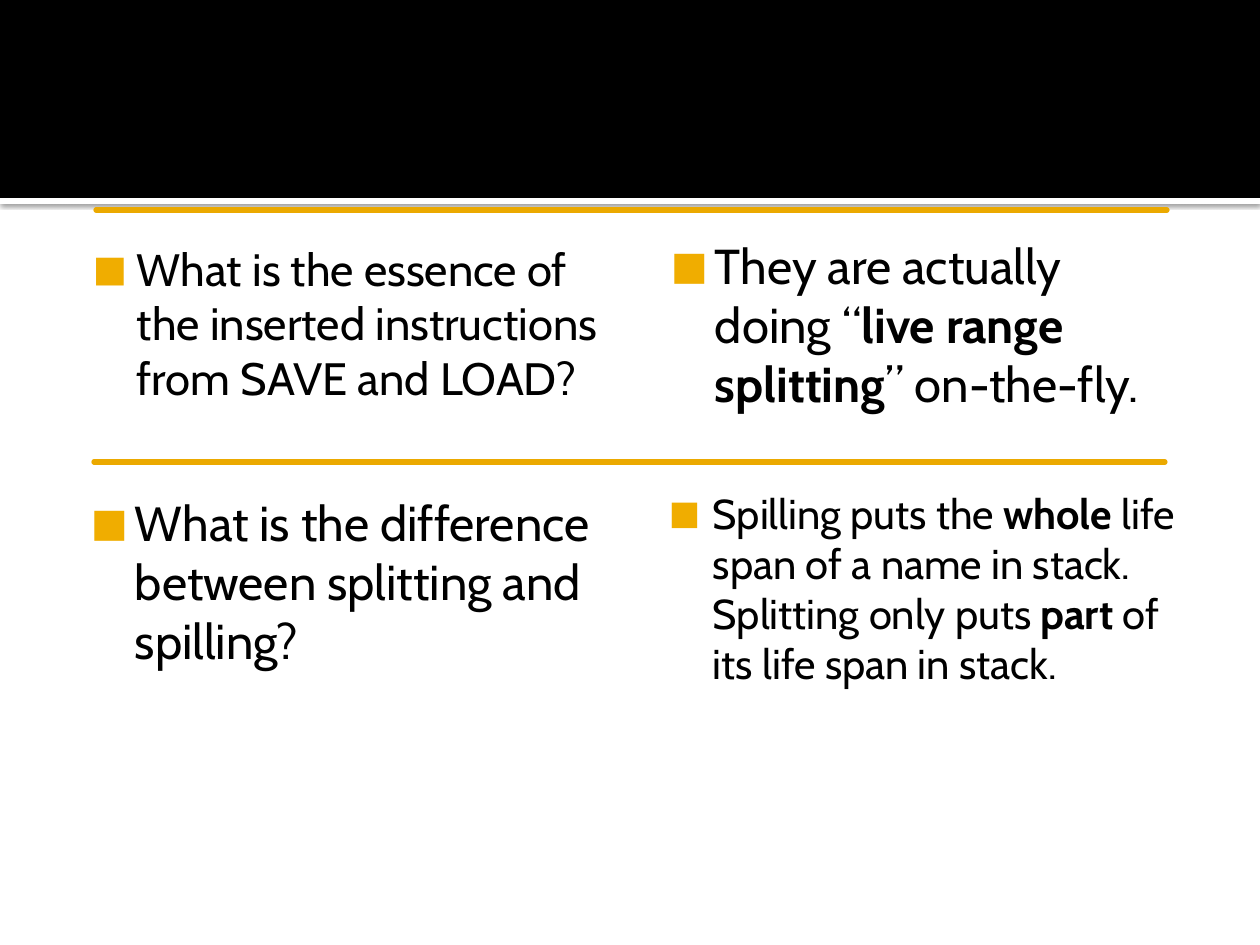
from lxml import etree
from pptx import Presentation
from pptx.dml.color import RGBColor
from pptx.enum.shapes import MSO_CONNECTOR, MSO_SHAPE
from pptx.oxml.ns import qn
from pptx.util import Emu, Pt

RECT = MSO_SHAPE.RECTANGLE
LINE = MSO_CONNECTOR.STRAIGHT
SCALE = 914400 / 126
FONT = "Cabin"
BLACK, WHITE = "000000", "FFFFFF"
GOLD, RULE = "F0AD00", "EBA900"

ROWS = [
    (96, 210,
     (25.9, [("What is the essence of the inserted instructions from SAVE and LOAD?", False)]),
     (28, [("They are actually doing “", False),
           ("live range splitting", True),
           ("” on-the-fly.", False)])),
    (94, 462,
     (28, [("What is the difference between splitting and spilling?", False)]),
     (23.8, [("Spilling puts the ", False),
             ("whole", True),
             (" life span of a name in stack. Splitting only puts ", False),
             ("part", True),
             (" of its life span in stack.", False)])),
]


def px(num):
    return Emu(round(num * SCALE))


def rgb(code):
    return RGBColor.from_string(code)


def node(parent, tag, **attrs):
    item = etree.SubElement(parent, qn(tag))
    for name, value in attrs.items():
        item.set(name, str(value))
    return item


def add_band(slide, top, high, color):
    band = slide.shapes.add_shape(RECT, 0, px(top), px(1260), px(high))
    band.shadow.inherit = False
    band.fill.solid()
    band.fill.fore_color.rgb = rgb(color)
    band.line.fill.background()
    return band


def add_shade(shape):
    effects = shape.element.spPr.find(qn("a:effectLst"))
    shade = node(effects, "a:outerShdw", blurRad=Pt(2.5), dist=Pt(0.8),
                 dir=5400000, algn="t", rotWithShape=0)
    color = node(shade, "a:srgbClr", val=BLACK)
    node(color, "a:alpha", val=60000)


def add_rule(slide, left, top):
    rule = slide.shapes.add_connector(LINE, px(left), px(top), px(left + 1071), px(top))
    rule.line.color.rgb = rgb(RULE)
    rule.line.width = Pt(3)
    rule.line._get_or_add_ln().set("cap", "rnd")
    node(rule._element.spPr, "a:effectLst")


def add_bullet(para):
    props = para._p.get_or_add_pPr()
    props.set("marL", str(px(60)))
    props.set("indent", str(px(-44)))
    color = node(props, "a:buClr")
    node(color, "a:srgbClr", val=GOLD)
    node(props, "a:buSzPct", val=80000)
    node(props, "a:buFont", typeface=FONT)
    node(props, "a:buChar", char="■")


def add_point(slide, left, top, size, runs):
    box = slide.shapes.add_textbox(px(left), px(top), px(557), px(197))
    frame = box.text_frame
    frame.word_wrap = True
    frame.margin_left = frame.margin_right = frame.margin_top = px(13)
    frame.margin_bottom = px(6)
    para = frame.paragraphs[0]
    add_bullet(para)
    for text, bold in runs:
        run = para.add_run()
        run.text = text
        font = run.font
        font.name = FONT
        font.size = Pt(size)
        font.bold = bold
        font.color.rgb = rgb(BLACK)


def main():
    deck = Presentation()
    deck.slide_width, deck.slide_height = px(1260), px(945)
    slide = deck.slides.add_slide(deck.slide_layouts[6])
    add_shade(add_band(slide, 198, 6, WHITE))
    add_band(slide, 0, 198, BLACK)
    for left, top, ask, reply in ROWS:
        add_rule(slide, left, top)
        add_point(slide, left - 32, top + 18, *ask)
        add_point(slide, left + 546, top + 13, *reply)
    deck.save("out.pptx")


if __name__ == "__main__":
    main()
